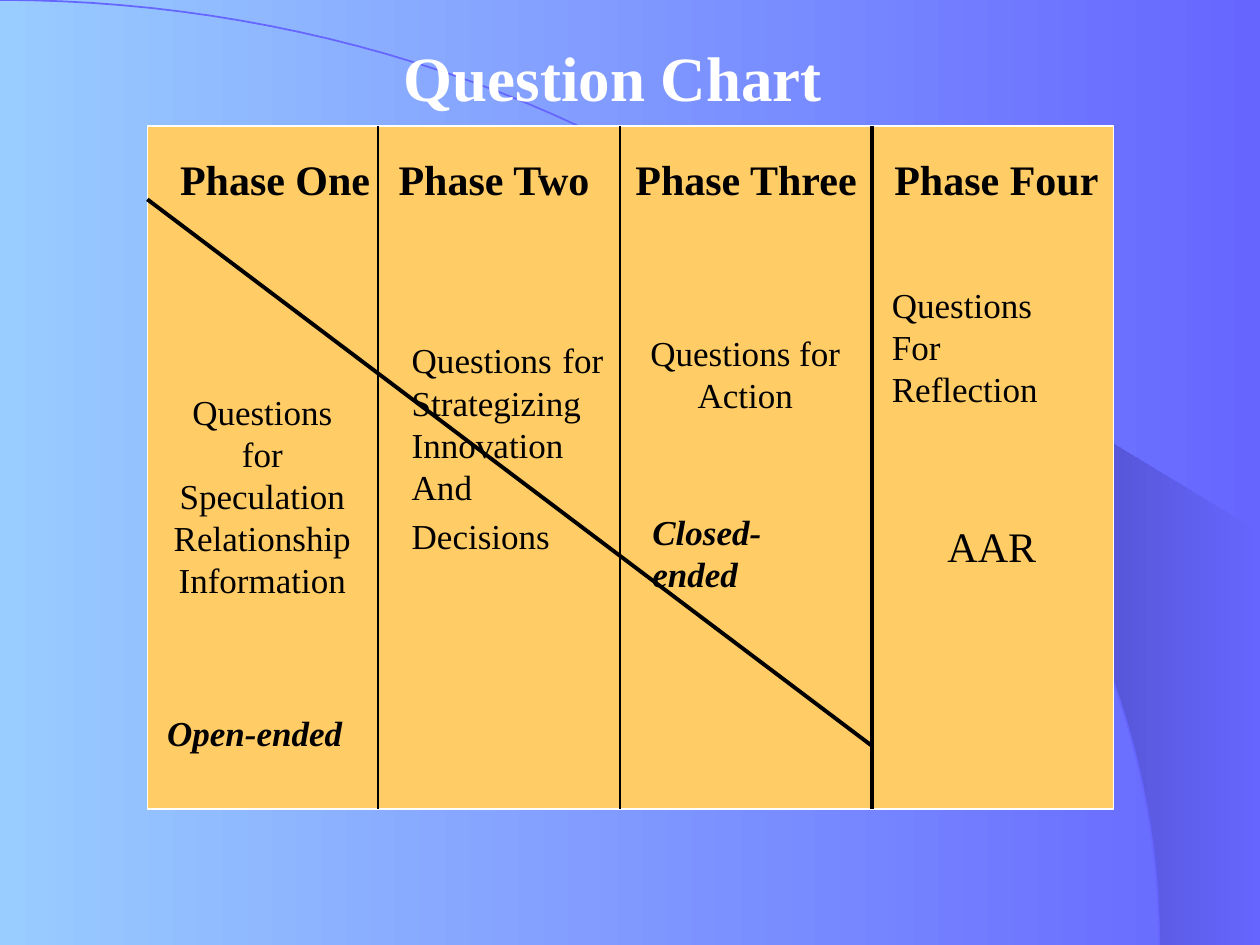
from dataclasses import dataclass
from math import acos, cos, pi, sin

from lxml import etree
from pptx import Presentation
from pptx.dml.color import RGBColor
from pptx.enum.shapes import MSO_CONNECTOR, MSO_SHAPE
from pptx.enum.text import MSO_ANCHOR, MSO_AUTO_SIZE, PP_ALIGN
from pptx.oxml.ns import qn
from pptx.util import Cm, Pt

LEFT, CENTER = PP_ALIGN.LEFT, PP_ALIGN.CENTER
STRAIGHT = MSO_CONNECTOR.STRAIGHT
RECTANGLE = MSO_SHAPE.RECTANGLE
TOP = MSO_ANCHOR.TOP
FIT_SHAPE = MSO_AUTO_SIZE.SHAPE_TO_FIT_TEXT


@dataclass(frozen=True)
class Theme:
    font: str = "Times New Roman"
    title_size: float = 36
    heading_size: float = 24
    body_size: float = 20
    violet: str = "6666FF"
    sky: str = "99CCFF"
    shade: str = "2F2F75"
    board: str = "FFCC66"
    light: str = "FFFFFF"
    ink: str = "000000"
    thin: float = 0.75
    medium: float = 1.5
    thick: float = 2.25


THEME = Theme()
SLIDE_WIDTH, SLIDE_HEIGHT = 25.4, 19.05
TITLE_BOX = (7.16, 0.64, 10.39, 1.78)
BOARD_BOX = (2.97, 2.54, 19.48, 13.77)


def rgb(color):
    return RGBColor.from_string(color)


def fill_gradient(fill, start, end):
    """Run the gradient from right to left."""
    fill.gradient()
    fill.gradient_angle = 180
    for stop, color in zip(fill.gradient_stops, (start, end)):
        stop.color.rgb = rgb(color)


def write_text(shape, paragraphs, size=THEME.body_size, color=THEME.ink,
               bold=False, italic=False, align=LEFT, wrap=True):
    """Fill a shape; a paragraph is a string or a list of (text, size) runs."""
    frame = shape.text_frame
    frame.word_wrap = wrap
    frame.auto_size = FIT_SHAPE
    frame.vertical_anchor = TOP
    for index, content in enumerate(paragraphs):
        paragraph = frame.add_paragraph() if index else frame.paragraphs[0]
        paragraph.alignment = align
        runs = [(content, size)] if isinstance(content, str) else content
        for text, run_size in runs:
            run = paragraph.add_run()
            run.text = text
            run.font.name = THEME.font
            run.font.size = Pt(run_size)
            run.font.bold = bold
            run.font.italic = italic
            run.font.color.rgb = rgb(color)


def draw_line(slide, start, end, weight):
    line = slide.shapes.add_connector(
        STRAIGHT, *(Cm(value) for value in (*start, *end)))
    line.line.color.rgb = rgb(THEME.ink)
    line.line.width = Pt(weight)
    etree.SubElement(line.element.spPr, qn("a:effectLst"))


def draw_outline(slide, points, close):
    (first_x, first_y), *rest = [(Cm(x), Cm(y)) for x, y in points]
    builder = slide.shapes.build_freeform(first_x, first_y)
    builder.add_line_segments(rest, close=close)
    outline = builder.convert_to_shape()
    outline.shadow.inherit = False
    return outline


def build_backdrop(slide, width, height):
    fill_gradient(slide.background.fill, THEME.violet, THEME.sky)
    radius_x = 23.37

    def arc(start, end, steps=60):
        angles = (start + (end - start) * i / steps for i in range(steps + 1))
        return [(radius_x * cos(a), height - height * sin(a)) for a in angles]

    shadow_start = acos(14.96 / radius_x)
    shadow = draw_outline(
        slide, arc(shadow_start, 0) + [(width, height), (width, 10.74)], True)
    fill_gradient(shadow.fill, THEME.violet, THEME.shade)
    shadow.line.fill.background()

    rim = draw_outline(slide, arc(pi / 2, 0), False)
    rim.fill.background()
    rim.line.color.rgb = rgb(THEME.violet)
    rim.line.width = Pt(1)


def build_title(slide, box):
    title = slide.shapes.title
    title.left, title.top, title.width, title.height = map(Cm, box)
    write_text(title, ["Question Chart"], size=THEME.title_size,
               color=THEME.light, bold=True, align=CENTER)
    title.element.getparent().append(title.element)  # in front of the rim


def build_board(slide, box):
    left, top, width, height = box
    board = slide.shapes.add_shape(RECTANGLE, *map(Cm, box))
    board.shadow.inherit = False
    board.fill.solid()
    board.fill.fore_color.rgb = rgb(THEME.board)
    board.line.color.rgb = rgb(THEME.light)
    board.line.width = Pt(THEME.thin)

    dividers = ((4.65, THEME.thin), (9.53, THEME.medium), (14.6, THEME.thick))
    for x, weight in dividers:
        draw_line(slide, (left + x, top), (left + x, top + height), weight)
    last_divider = dividers[-1][0]
    draw_line(slide, (left, top + 1.48), (left + last_divider, top + 12.49),
              THEME.thick)

    def note(x, y, w, h, *paragraphs, **style):
        text_box = slide.shapes.add_textbox(
            Cm(left + x), Cm(top + y), Cm(w), Cm(h))
        write_text(text_box, paragraphs, **style)

    headings = (
        ("Phase One", 0.41, 4.65, LEFT),
        ("Phase Two", 4.45, 5.08, CENTER),
        ("Phase Three", 9.53, 5.08, CENTER),
        ("Phase Four", 14.81, 4.62, LEFT),
    )
    for heading, x, w, align in headings:
        note(x, 0.43, w, 1.27, heading, size=THEME.heading_size, bold=True,
             align=align, wrap=align == CENTER)

    body, wide_space = THEME.body_size, (" ", THEME.heading_size)
    note(0.2, 5.21, 4.24, 4.5, "Questions for Speculation", "Relationship",
         "Information", align=CENTER)
    note(5.08, 4.01, 4.55, 5.84,
         [("Questions", body), wide_space, ("for", body)],
         "Strategizing", "Innovation", "And",
         [("Decisions", body), wide_space], wrap=False)
    note(9.73, 4.01, 4.65, 1.96, "Questions for Action", align=CENTER)
    note(14.76, 3.05, 4.6, 1.96, "Questions", "For Reflection", wrap=False)
    note(15.88, 7.82, 2.29, 1.27, "AAR", size=THEME.heading_size, wrap=False)

    ending = {"bold": True, "italic": True, "wrap": False}
    note(0.15, 11.68, 4.04, 1.12, "Open-ended", **ending)
    note(9.93, 7.62, 4.42, 1.12, "Closed-ended", **ending)


def main():
    deck = Presentation()
    deck.slide_width, deck.slide_height = Cm(SLIDE_WIDTH), Cm(SLIDE_HEIGHT)
    title_only = deck.slide_layouts[5]
    slide = deck.slides.add_slide(title_only)
    build_backdrop(slide, SLIDE_WIDTH, SLIDE_HEIGHT)
    build_title(slide, TITLE_BOX)
    build_board(slide, BOARD_BOX)
    deck.save("out.pptx")


if __name__ == "__main__":
    main()
